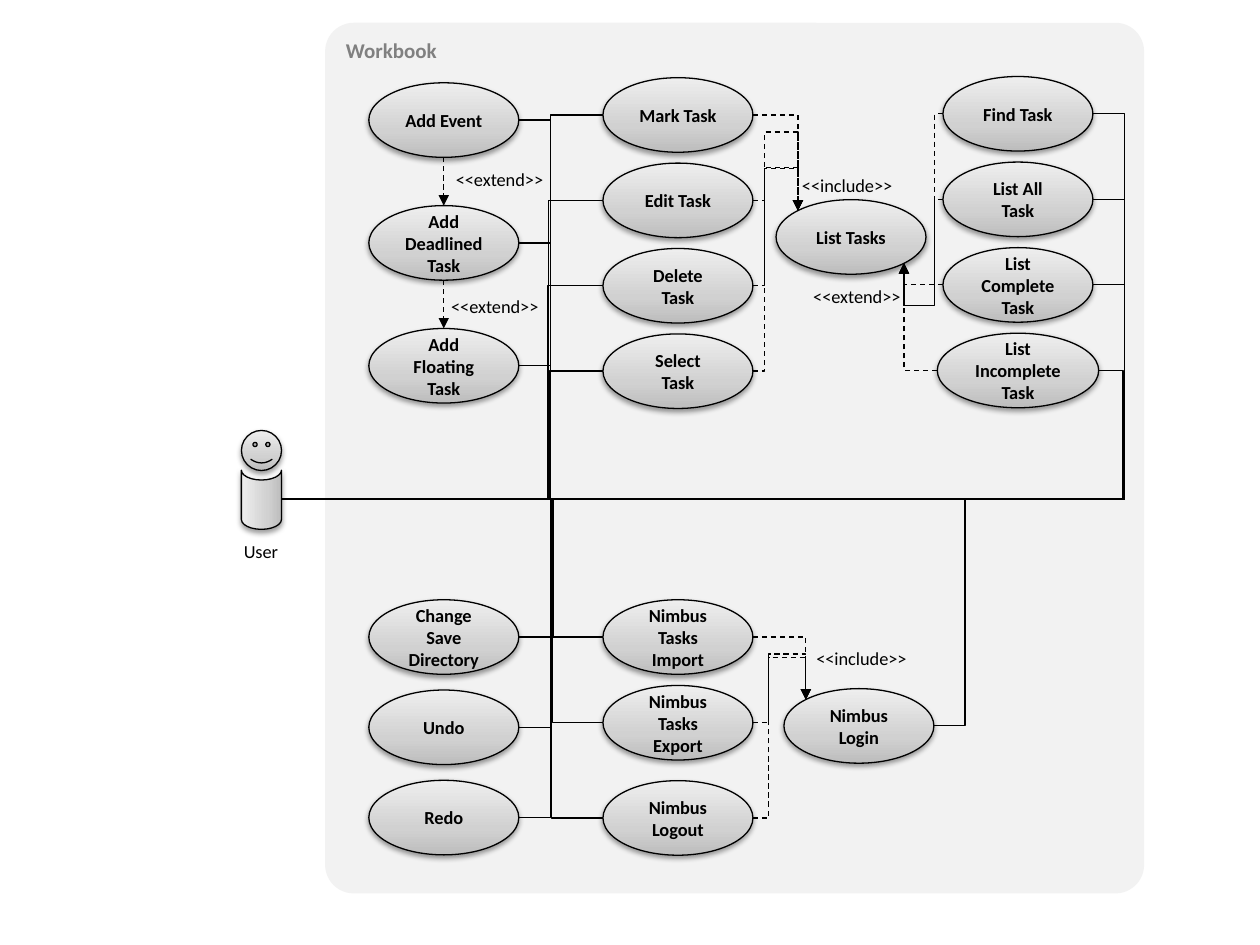
from pptx import Presentation
from pptx.dml.color import RGBColor
from pptx.enum.dml import MSO_LINE
from pptx.enum.shapes import MSO_CONNECTOR, MSO_SHAPE
from pptx.enum.text import MSO_ANCHOR, PP_ALIGN
from pptx.oxml import parse_xml
from pptx.oxml.ns import nsdecls, qn
from pptx.oxml.xmlchemy import OxmlElement
from pptx.util import Pt

OVAL, ROUNDED = MSO_SHAPE.OVAL, MSO_SHAPE.ROUNDED_RECTANGLE
SMILEY, BODY = MSO_SHAPE.SMILEY_FACE, MSO_SHAPE.FLOWCHART_STORED_DATA
STRAIGHT, ELBOW = MSO_CONNECTOR.STRAIGHT, MSO_CONNECTOR.ELBOW
LEFT, CENTER = PP_ALIGN.LEFT, PP_ALIGN.CENTER
TOP, MIDDLE = MSO_ANCHOR.TOP, MSO_ANCHOR.MIDDLE
DASH = MSO_LINE.DASH
BLACK = RGBColor(0x00, 0x00, 0x00)
GREY = RGBColor(0x80, 0x80, 0x80)
PANEL = RGBColor(0xF2, 0xF2, 0xF2)
STOPS = [(0, RGBColor(0xBD, 0xBD, 0xBD)),
         (35, RGBColor(0xD1, 0xD1, 0xD1)),
         (100, RGBColor(0xEE, 0xEE, 0xEE))]

prs = Presentation()
prs.slide_width, prs.slide_height = Pt(720), Pt(540)
s = prs.slides.add_slide(prs.slide_layouts[6])


def add_text(text, x, y, w, h, preset=None, size=10.5, bold=False,
             color=BLACK, align=LEFT, anchor=TOP):
    """Add a wrapping shape, or a non-wrapping text box if no preset is given."""
    box = [Pt(v) for v in (x, y, w, h)]
    sp = s.shapes.add_textbox(*box) if preset is None else s.shapes.add_shape(preset, *box)
    tf = sp.text_frame
    tf.word_wrap = preset is not None
    tf.vertical_anchor = anchor
    p = tf.paragraphs[0]
    p.alignment = align
    if text:
        r = p.add_run()
        r.text = text
        r.font.name, r.font.size, r.font.bold = "Calibri", Pt(size), bold
        r.font.color.rgb = color
    return sp


def connect(start, end, via_x=None, via_y=None, kind=ELBOW, arrow=False):
    """Draw a line; an elbow leaves sideways, turns at via_x, then at via_y."""
    (x1, y1), (x2, y2) = start, end
    c = s.shapes.add_connector(kind, Pt(x1), Pt(y1), Pt(x2), Pt(y2))
    c.line.color.rgb, c.line.width = BLACK, Pt(0.75)
    if kind == ELBOW:
        ratios = []
        if via_x is not None:
            ratios.append((via_x - x1) / (x2 - x1))
        if via_y is not None:
            ratios.append((via_y - y1) / (y2 - y1))
        geom = c._element.spPr.find(qn("a:prstGeom"))
        geom.set("prst", f"bentConnector{2 + len(ratios)}")
        guides = geom.get_or_add_avLst()
        for i, ratio in enumerate(ratios, 1):
            gd = OxmlElement("a:gd")
            gd.set("name", f"adj{i}")
            gd.set("fmla", f"val {round(ratio * 100000)}")
            guides.append(gd)
    if arrow:
        c.line.dash_style = DASH
        tail = OxmlElement("a:tailEnd")
        tail.set("type", "triangle")
        c.line._get_or_add_ln().append(tail)
    c._element.spPr.append(OxmlElement("a:effectLst"))


# System boundary
panel = add_text("Workbook", 185.8, 13, 468, 497.5, ROUNDED, size=12, bold=True, color=GREY)
panel.adjustments[0] = 0.035
panel.fill.solid()
panel.fill.fore_color.rgb = PANEL
panel.line.fill.background()
panel.shadow.inherit = False

# Use cases: column centre, first row centre, row step, names
W, H = 85.7, 42.6
LEFT_X, MID_X, RIGHT_X = 253.6, 387.4, 581.7
groups = [
    (LEFT_X, 68.6, 70.2, ["Add Event", "Add Deadlined Task", "Add Floating Task"]),
    (MID_X, 65.7, 48.8, ["Mark Task", "Edit Task", "Delete Task", "Select Task"]),
    (RIGHT_X, 65, 48.9, ["Find Task", "List All Task", "List Complete Task",
                         "List Incomplete Task"]),
    (486.3, 135.4, 0, ["List Tasks"]),
    (LEFT_X, 364, 51.6, ["Change Save Directory", "Undo", "Redo"]),
    (MID_X, 364, 49, ["Nimbus Tasks Import", "Nimbus Tasks Export"]),
    (MID_X, 467.4, 0, ["Nimbus Logout"]),
    (490.8, 414.8, 0, ["Nimbus Login"]),
]
glossy, centre, half = [], {}, {}
for cx, first, step, names in groups:
    for i, name in enumerate(names):
        cy = first + i * step
        w = 92.2 if name == "List Incomplete Task" else W
        centre[name], half[name] = (cx, cy), w / 2
        glossy.append(add_text(name, cx - w / 2, cy - H / 2, w, H, OVAL, bold=True,
                               align=CENTER, anchor=MIDDLE))

# Actor
face = add_text("", 138, 246, 22.9, 22.9, SMILEY)
body = add_text("", 132.5, 274.1, 33.8, 22.9, BODY)
body.rotation = 270
glossy += [face, body]

for sp in glossy:
    sp.line.color.rgb, sp.line.width = BLACK, Pt(0.75)
    sp.fill.gradient()
    sp.fill.gradient_angle = 90
    stops = sp._element.spPr.find(qn("a:gradFill")).find(qn("a:gsLst"))
    for old in list(stops):
        stops.remove(old)
    for pos, color in STOPS:
        stops.append(parse_xml(f'<a:gs {nsdecls("a")} pos="{pos * 1000}">'
                               f'<a:srgbClr val="{color}"/></a:gs>'))
    sp.shadow.inherit = False
    sp._element.spPr.find(qn("a:effectLst")).append(parse_xml(
        f'<a:outerShdw {nsdecls("a")} blurRad="{Pt(3.1)}" dist="{Pt(1.6)}" dir="5400000" '
        'rotWithShape="0"><a:srgbClr val="000000"><a:alpha val="38000"/></a:srgbClr>'
        '</a:outerShdw>'))
s.shapes.add_group_shape([face, body])

# Extensions between the add tasks
adds = groups[0][3]
for upper, lower in zip(adds, adds[1:]):
    (x1, y1), (x2, y2) = centre[upper], centre[lower]
    connect((x1, y1 + H / 2), (x2, y2 - H / 2), kind=STRAIGHT, arrow=True)

# Dashed arrows: source, target, side of the source, turns
DIAGONAL = 0.5 ** 0.5
for source, target, side, via_x, via_y in [
    ("Mark Task", "List Tasks", 1, None, None),
    ("Edit Task", "List Tasks", 1, 437.1, 75.4),
    ("Delete Task", "List Tasks", 1, 437.1, 96.3),
    ("Select Task", "List Tasks", 1, 437.1, 95.9),
    ("Find Task", "List Tasks", -1, 534.2, 174.5),
    ("List All Task", "List Tasks", -1, 534.2, 174.5),
    ("List Complete Task", "List Tasks", -1, None, None),
    ("List Incomplete Task", "List Tasks", -1, None, None),
    ("Nimbus Tasks Import", "Nimbus Login", 1, None, None),
    ("Nimbus Tasks Export", "Nimbus Login", 1, 439.3, 373.7),
    ("Nimbus Logout", "Nimbus Login", 1, 439.3, 375.6),
]:
    (x1, y1), (x2, y2) = centre[source], centre[target]
    connect((x1 + side * half[source], y1),
            (x2 - side * W / 2 * DIAGONAL, y2 - side * H / 2 * DIAGONAL),
            via_x, via_y, arrow=True)

for text, x, y, w in [
    ("<<extend>>", 253.4, 92.5, 65.5), ("<<extend>>", 250.7, 164.9, 65.5),
    ("<<include>>", 451.2, 95.8, 67), ("<<extend>>", 457.6, 159.5, 65.5),
    ("<<include>>", 459.4, 366.4, 67), ("User", 132.2, 305, 34.5),
]:
    add_text(text, x, y, w, 20)

# Associations: the middle column is entered from its left, the others from their right
HUB = (160.9, 285.2)
TRUNKS = {"Mark Task": 314.4, "Edit Task": 313.6, "Delete Task": 313.1, "Select Task": 314,
          "Nimbus Tasks Import": 316.1, "Nimbus Tasks Export": 315.8, "Nimbus Logout": 315.1}
for name, (cx, cy) in centre.items():
    if name in TRUNKS:
        connect(HUB, (cx - half[name], cy), TRUNKS[name])
    elif name != "List Tasks":
        edge = cx + half[name]
        connect(HUB, (edge, cy), edge + (14 if name == "List Incomplete Task" else 18))

prs.save("out.pptx")
